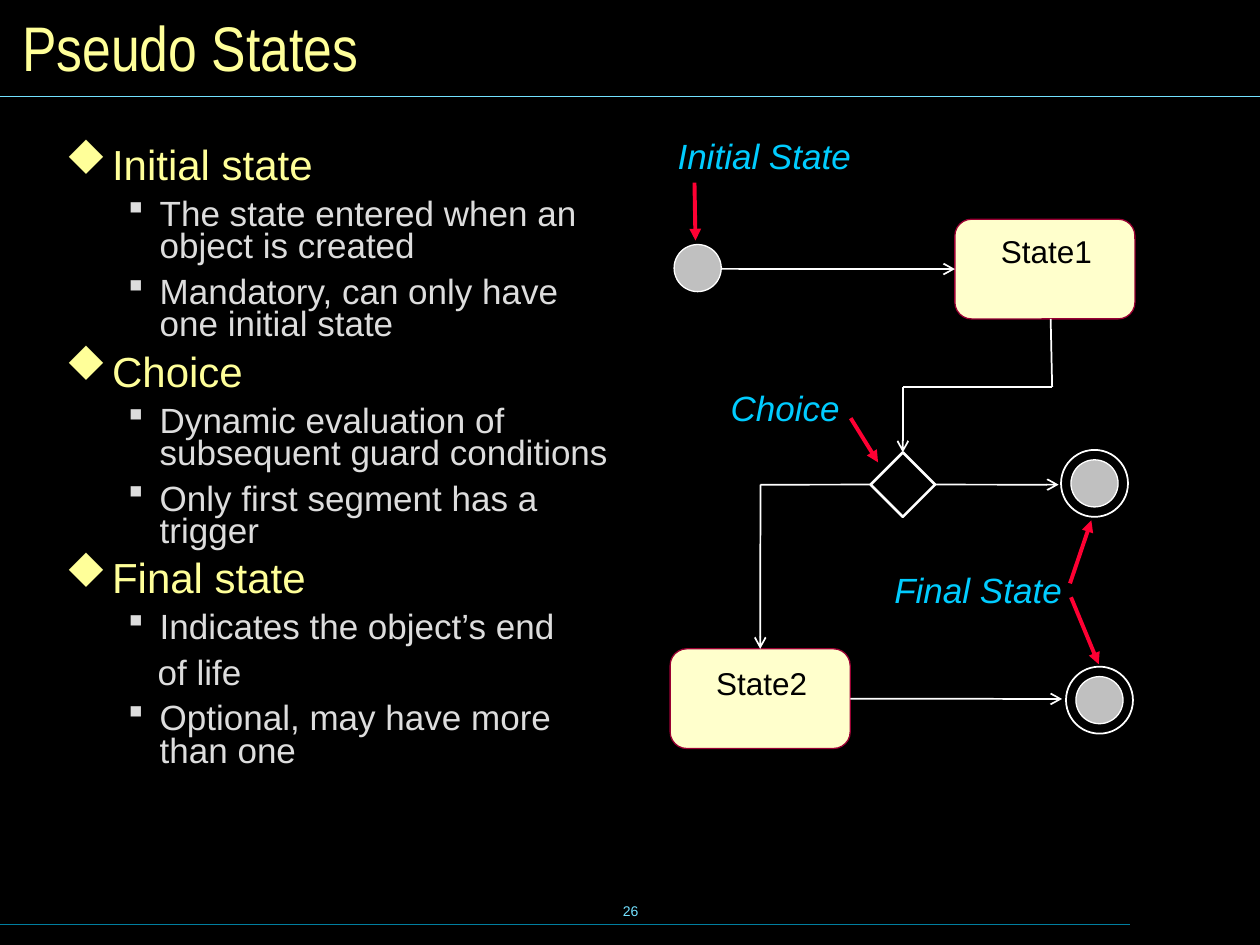
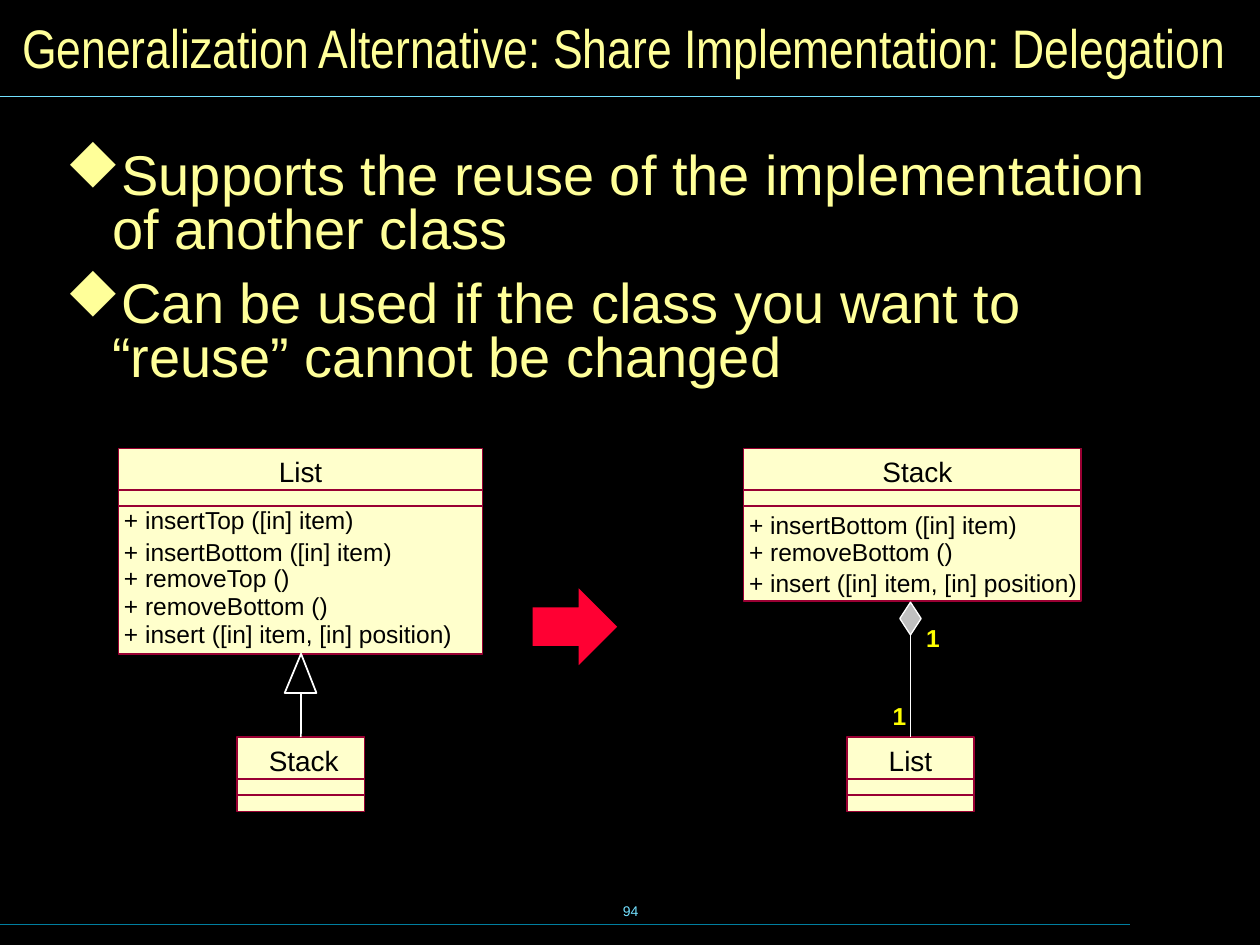
from lxml.etree import SubElement
from pptx import Presentation
from pptx.dml.color import RGBColor
from pptx.enum.shapes import MSO_CONNECTOR, MSO_SHAPE as Preset
from pptx.enum.text import MSO_ANCHOR as Anchor, PP_ALIGN as Align
from pptx.oxml.ns import qn
from pptx.util import Cm, Pt

COLORS = {
    "background": "000000", "heading": "FFFF99", "detail": "DDDDDD",
    "rule": "73E1FF", "footer_rule": "007E9F", "flow": "FFFFFF",
    "callout": "00CCFF", "pointer": "FF0033", "box": "FFFFCC",
    "box_edge": "990033", "node": "C0C0C0", "ink": "000000",
    "multiplicity": "FFFF00",
}
TOP, LEFT, BOTTOM, RIGHT = range(4)
DIAMOND_MARK, SQUARE_MARK = "u", "§"


def rgb(color):
    """Return the palette entry as an RGBColor."""
    return RGBColor.from_string(COLORS[color])


def write(paragraph, text, size=18, color="ink", font="Arial", bold=False,
          italic=False, align=Align.LEFT):
    """Put formatted text into a paragraph."""
    paragraph.alignment = align
    run = paragraph.add_run()
    run.text = text
    run.font.name, run.font.size = font, Pt(size)
    run.font.bold, run.font.italic = bold, italic
    run.font.color.rgb = rgb(color)


def set_bullet(paragraph, mark, color, margin, indent):
    """Give a paragraph its hanging indent and Wingdings bullet."""
    props = paragraph._p.get_or_add_pPr()
    props.set("marL", str(Cm(margin)))
    props.set("indent", str(Cm(indent)))
    if mark:
        bullet_color = SubElement(props, qn("a:buClr"))
        SubElement(bullet_color, qn("a:srgbClr"), val=COLORS[color])
        SubElement(props, qn("a:buFont"), typeface="Wingdings", charset="2")
        SubElement(props, qn("a:buChar"), char=mark)
    else:
        SubElement(props, qn("a:buNone"))


class Deck:
    """Holds the shared style and the slide being drawn."""

    def __init__(self):
        """Start an empty 4:3 presentation."""
        self.show = Presentation()
        self.show.slide_width, self.show.slide_height = Cm(25.4), Cm(19.05)
        self.shapes = None

    def new_slide(self, title, number, title_size=36):
        """Add a slide with background, rules, title and page number."""
        slide = self.show.slides.add_slide(self.show.slide_layouts[6])
        slide.background.fill.solid()
        slide.background.fill.fore_color.rgb = rgb("background")
        self.shapes = slide.shapes
        self.text(8.69, 17.73, 8.05, 1.27, number, anchor=Anchor.MIDDLE,
                  size=8, color="rule", align=Align.CENTER)
        self.line((0, 18.63), (22.78, 18.63), "footer_rule", 0.75)
        self.line((0, 1.94), (25.4, 1.94), "rule", 0.75)
        self.text(0.2, 0.2, 24.99, 1.47, title, anchor=Anchor.MIDDLE,
                  size=title_size, color="heading", font="Arial Narrow")

    def frame(self, left, top, width, height, inset=(0.25, 0.13),
              anchor=Anchor.TOP):
        """Add an empty text box and return its text frame."""
        frame = self.shapes.add_textbox(
            Cm(left), Cm(top), Cm(width), Cm(height)).text_frame
        frame.word_wrap, frame.vertical_anchor = True, anchor
        frame.margin_left = frame.margin_right = Cm(inset[0])
        frame.margin_top = frame.margin_bottom = Cm(inset[1])
        return frame

    def text(self, left, top, width, height, content, inset=(0.25, 0.13),
             anchor=Anchor.TOP, **style):
        """Add a one-paragraph text box."""
        frame = self.frame(left, top, width, height, inset, anchor)
        write(frame.paragraphs[0], content, **style)

    def outline(self, width, items, size=24, spacing=0.7, before=9):
        """Add the body list from (level, text) pairs."""
        frame = self.frame(1.02, 2.92, width, 14.02, (0.3, 0.15))
        levels = {
            "main": (DIAMOND_MARK, "heading", 0.94, -0.94, size, spacing, before),
            "sub": (SQUARE_MARK, "detail", 1.9, -0.64, 20, 0.77, 7.5),
            "continued": (None, "detail", 1.86, 0, 20, 0.77, 7.5),
        }
        for index, (level, content) in enumerate(items):
            mark, color, margin, indent, points, leading, gap = levels[level]
            entry = frame.add_paragraph() if index else frame.paragraphs[0]
            entry.line_spacing = leading
            entry.space_before = Pt(gap if index else 0)
            set_bullet(entry, mark, color, margin, indent)
            write(entry, content, size=points, color=color)

    def finish(self, shape, fill, edge, weight):
        """Set fill and outline, and drop the shadow."""
        shape.shadow.inherit = False
        if fill:
            shape.fill.solid()
            shape.fill.fore_color.rgb = rgb(fill)
        else:
            shape.fill.background()
        if edge:
            shape.line.color.rgb = rgb(edge)
            shape.line.width = Pt(weight)
        else:
            shape.line.fill.background()
        return shape

    def shape(self, preset, left, top, width, height, fill=None, edge="flow",
              weight=0.75):
        """Add a preset shape."""
        added = self.shapes.add_shape(
            preset, Cm(left), Cm(top), Cm(width), Cm(height))
        return self.finish(added, fill, edge, weight)

    def polygon(self, points, edge="flow", weight=1):
        """Add a closed, unfilled outline."""
        start, *others = [(Cm(x), Cm(y)) for x, y in points]
        builder = self.shapes.build_freeform(*start)
        builder.add_line_segments(others, close=True)
        return self.finish(builder.convert_to_shape(), None, edge, weight)

    def line(self, start, end, color="flow", weight=1, head=None):
        """Join two ends, each an (x, y) point or a (shape, side) pair."""
        places = [(0, 0) if hasattr(a, "shape_id") else (Cm(a), Cm(b))
                  for a, b in (start, end)]
        link = self.shapes.add_connector(
            MSO_CONNECTOR.STRAIGHT, *places[0], *places[1])
        if hasattr(start[0], "shape_id"):
            link.begin_connect(*start)
        if hasattr(end[0], "shape_id"):
            link.end_connect(*end)
        link.line.color.rgb = rgb(color)
        link.line.width = Pt(weight)
        props = link._element.spPr
        if head:
            SubElement(props.find(qn("a:ln")), qn("a:tailEnd"), type=head)
        SubElement(props, qn("a:effectLst"))

    def flow(self, start, end):
        """Add a white transition arrow."""
        self.line(start, end, head="arrow")

    def pointer(self, start, end):
        """Add a red arrow from a callout."""
        self.line(start, end, "pointer", 2.25, "triangle")

    def state(self, left, top, name, drop):
        """Add a rounded state box with its name."""
        box = self.shape(Preset.ROUNDED_RECTANGLE, left, top, 3.63, 2.01,
                         "box", "box_edge")
        self.text(left + 0.36, top + drop, 2.97, 1.02, name,
                  align=Align.CENTER)
        return box

    def final_state(self, left, top):
        """Add a ringed final-state node."""
        self.shape(Preset.OVAL, left + 0.2, top + 0.2, 0.95, 0.95, "node")
        self.shape(Preset.OVAL, left, top, 1.35, 1.35, weight=1)

    def class_box(self, left, top, width, height, name, members=(), nudge=0):
        """Add a UML class with its compartments and (top, text) members."""
        box = self.shape(Preset.RECTANGLE, left, top, width, height,
                         "box", "box_edge", 1)
        for drop in (0.84, 1.16):
            self.line((left, top + drop), (left + width, top + drop), "box_edge")
        self.text(left + nudge, top + 0.12, width, 0.69, name, inset=(0, 0),
                  size=16, align=Align.CENTER)
        for member_top, member in members:
            self.text(left + 0.11, member_top, width - 0.11, 0.58, member,
                      inset=(0, 0), size=14)
        return box


def pseudo_states(deck):
    """Draw the state-machine slide."""
    deck.new_slide("Pseudo States", "26")
    deck.outline(11.58, [
        ("main", "Initial state"),
        ("sub", "The state entered when an object is created"),
        ("sub", "Mandatory, can only have one initial state"),
        ("main", "Choice"),
        ("sub", "Dynamic evaluation of subsequent guard conditions"),
        ("sub", "Only first segment has a trigger"),
        ("main", "Final state"),
        ("sub", "Indicates the object’s end"),
        ("continued", "of life"),
        ("sub", "Optional, may have more than one"),
    ])
    state1 = deck.state(19.25, 4.42, "State1", 0.13)
    state2 = deck.state(13.51, 13.08, "State2", 0.18)
    deck.shape(Preset.OVAL, 13.59, 4.93, 0.95, 0.95, "node")
    choice = deck.shape(Preset.DIAMOND, 17.55, 9.12, 1.3, 1.3, weight=1.5)
    for left, top in ((21.39, 9.07), (21.49, 13.44)):
        deck.final_state(left, top)

    deck.flow((14.54, 5.42), (state1, LEFT))
    deck.line((21.18, 6.43), (21.21, 7.8))
    deck.line((21.21, 7.8), (18.2, 7.8))
    deck.flow((18.2, 7.8), (choice, TOP))
    deck.flow((choice, RIGHT), (21.34, 9.77))
    deck.line((choice, LEFT), (15.33, 9.77))
    deck.flow((15.33, 9.77), (state2, TOP))
    deck.flow((state2, RIGHT), (21.41, 14.09))

    for left, top, width, callout in ((13.41, 2.59, 4.2, "Initial State"),
                                      (14.48, 7.67, 2.9, "Choice"),
                                      (17.78, 11.33, 4.1, "Final State")):
        deck.text(left, top, width, 1.12, callout, size=20, color="callout",
                  italic=True)
    for start, end in (((14, 3.68), (14.02, 4.85)),
                       ((17.15, 8.43), (17.7, 9.32)),
                       ((21.59, 12.04), (22.15, 13.39)),
                       ((21.57, 11.76), (22, 10.49))):
        deck.pointer(start, end)


def delegation(deck):
    """Draw the inheritance-to-delegation slide."""
    deck.new_slide(
        "Generalization Alternative: Share Implementation: Delegation", "94", 31)
    deck.outline(23.6, [
        ("main", "Supports the reuse of the implementation of another class"),
        ("main", "Can be used if the class you want to “reuse” cannot be changed"),
    ], size=32, spacing=0.8, before=12)

    deck.class_box(2.39, 9.04, 7.34, 4.14, "List", [
        (10.19, "+ insertTop ([in] item)"),
        (10.82, "+ insertBottom ([in] item)"),
        (11.35, "+ removeTop ()"),
        (11.91, "+ removeBottom ()"),
        (12.47, "+ insert ([in] item, [in] position)"),
    ])
    heir = deck.class_box(4.78, 14.86, 2.57, 1.5, "Stack", nudge=0.06)
    deck.polygon([(6.07, 13.18), (6.38, 13.97), (5.74, 13.97)])
    deck.line((6.07, 13.97), (heir, TOP))

    deck.shape(Preset.RIGHT_ARROW, 10.74, 11.86, 1.7, 1.55, "pointer", None)

    deck.class_box(14.99, 9.04, 6.81, 3.07, "Stack", [
        (10.29, "+ insertBottom ([in] item)"),
        (10.82, "+ removeBottom ()"),
        (11.46, "+ insert ([in] item, [in] position)"),
    ], nudge=0.1)
    delegate = deck.class_box(17.07, 14.86, 2.57, 1.5, "List")
    aggregation = deck.shape(Preset.DIAMOND, 18.14, 12.14, 0.43, 0.66, "node")
    deck.line((aggregation, BOTTOM), (delegate, TOP))
    for left, top in ((18.16, 12.42), (17.48, 14)):
        deck.text(left, top, 1.3, 0.86, "1", size=14, bold=True,
                  color="multiplicity", align=Align.CENTER)


def main():
    """Build both slides and save them."""
    deck = Deck()
    pseudo_states(deck)
    delegation(deck)
    deck.show.save("out.pptx")


if __name__ == "__main__":
    main()
